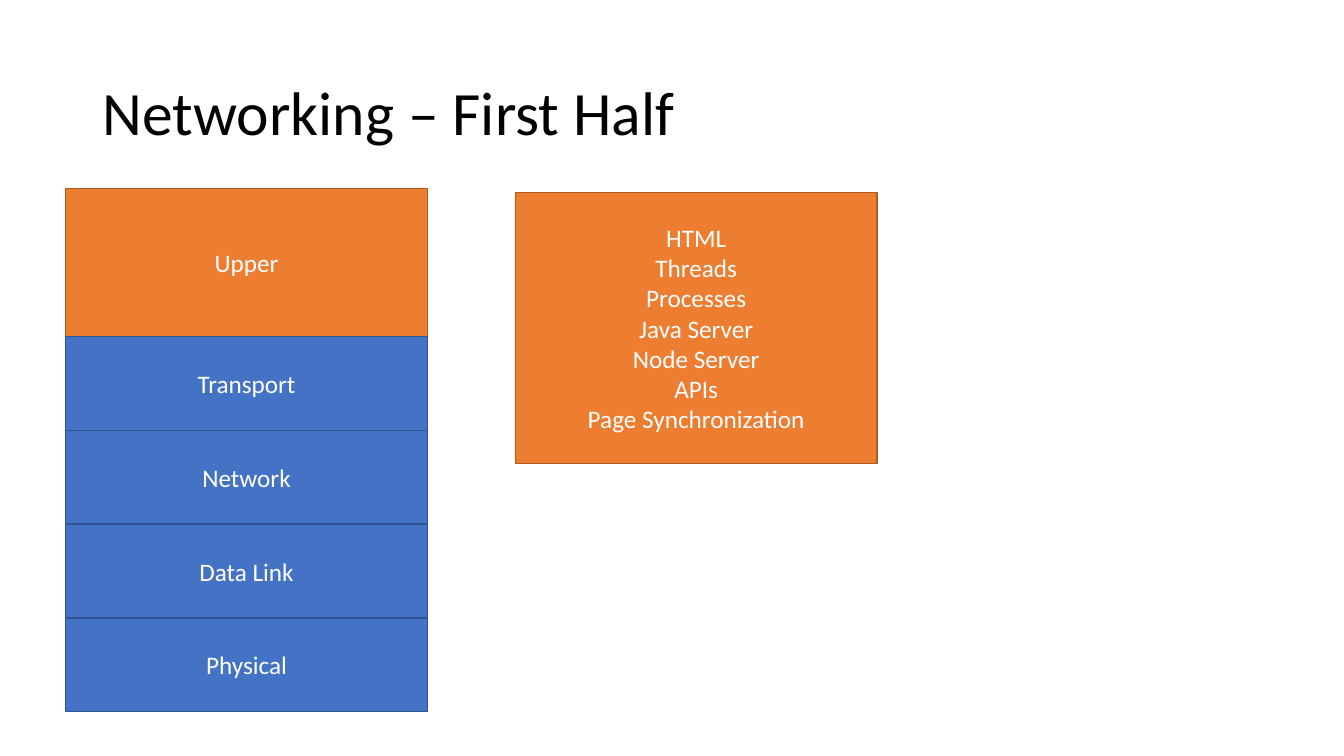
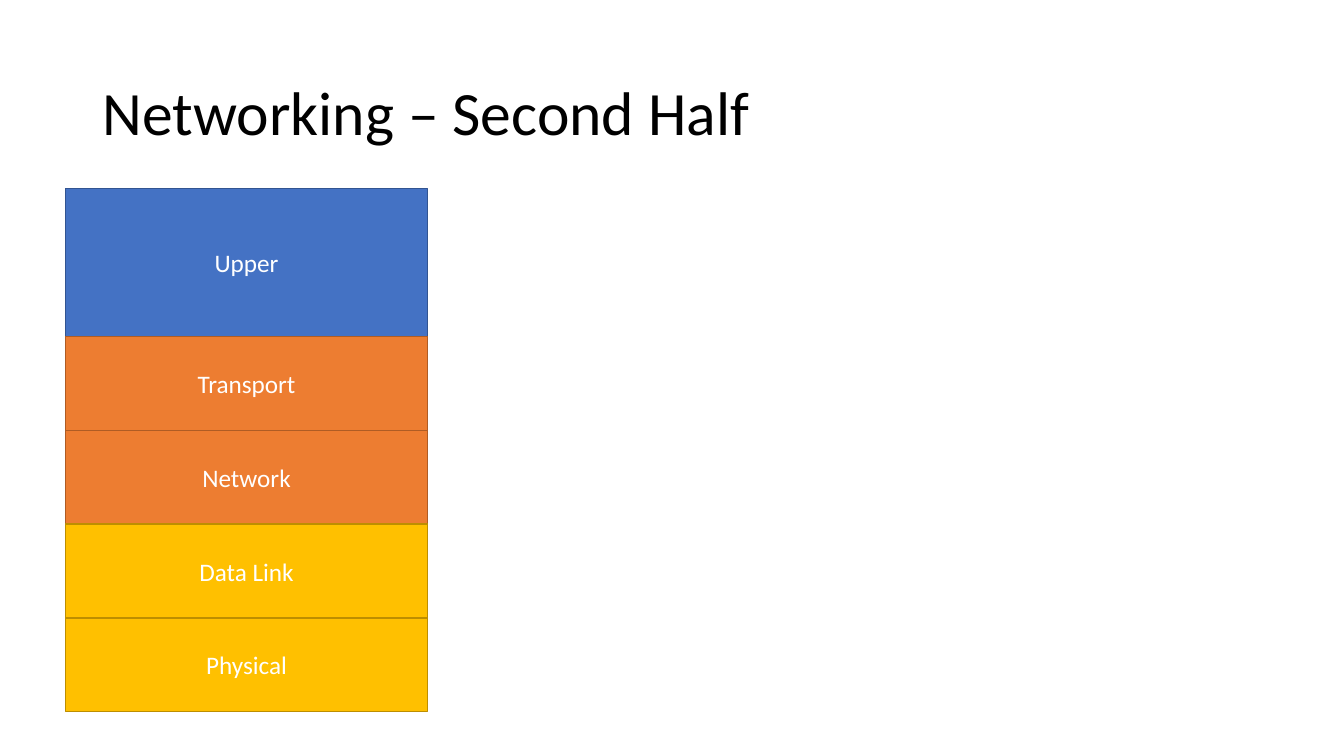
from dataclasses import dataclass

from pptx import Presentation
from pptx.dml.color import RGBColor
from pptx.enum.shapes import MSO_SHAPE
from pptx.enum.text import MSO_ANCHOR, PP_ALIGN
from pptx.util import Inches, Pt


@dataclass(frozen=True)
class BoxStyle:
    fill: str
    line: str


@dataclass(frozen=True)
class Theme:
    font: str = "Calibri"
    title_size: int = 44
    box_size: int = 18
    line_width: int = 1
    title_color: str = "000000"
    box_text: str = "FFFFFF"
    blue: BoxStyle = BoxStyle("4472C4", "325491")
    orange: BoxStyle = BoxStyle("ED7D31", "AF5C24")
    gold: BoxStyle = BoxStyle("FFC000", "BD8E00")


THEME = Theme()

BOX_WIDTH = 3.59
STACK_LEFT, STACK_TOP = 0.65, 1.87
UPPER_HEIGHT, LAYER_HEIGHT = 1.47, 0.93
LAYERS = ["Upper", "Transport", "Network", "Data Link", "Physical"]
TOPICS = ["HTML", "Threads", "Processes", "Java Server", "Node Server",
          "APIs", "Page Synchronization"]


def write_text(shape, lines, size, color, align, line_spacing=1.0):
    tf = shape.text_frame
    tf.word_wrap = True
    tf.vertical_anchor = MSO_ANCHOR.MIDDLE
    tf.text = "\n".join(lines)
    for p in tf.paragraphs:
        p.alignment = align
        p.line_spacing = line_spacing
        p.font.name = THEME.font
        p.font.size = Pt(size)
        p.font.color.rgb = RGBColor.from_string(color)


def add_title(slide, text):
    sp = slide.shapes.add_textbox(Inches(0.92), Inches(0.42), Inches(11.5), Inches(1.45))
    write_text(sp, [text], THEME.title_size, THEME.title_color, PP_ALIGN.LEFT, 0.9)


def add_box(slide, left, top, height, lines, style):
    sp = slide.shapes.add_shape(MSO_SHAPE.RECTANGLE, Inches(left), Inches(top),
                                Inches(BOX_WIDTH), Inches(height))
    sp.shadow.inherit = False
    sp.fill.solid()
    sp.fill.fore_color.rgb = RGBColor.from_string(style.fill)
    sp.line.color.rgb = RGBColor.from_string(style.line)
    sp.line.width = Pt(THEME.line_width)
    write_text(sp, lines, THEME.box_size, THEME.box_text, PP_ALIGN.CENTER)


def add_layer_stack(slide, styles):
    """Stack the network layers downwards, one style per layer."""
    top = STACK_TOP
    for name, style in zip(LAYERS, styles):
        height = UPPER_HEIGHT if name == "Upper" else LAYER_HEIGHT
        add_box(slide, STACK_LEFT, top, height, [name], style)
        top += height


def add_networking_slide(prs, title, styles):
    slide = prs.slides.add_slide(prs.slide_layouts[6])
    add_layer_stack(slide, styles)
    add_title(slide, title)
    return slide


def main():
    prs = Presentation()
    prs.slide_width, prs.slide_height = Inches(13.33), Inches(7.5)
    blue, orange, gold = THEME.blue, THEME.orange, THEME.gold

    first = add_networking_slide(prs, "Networking – First Half", [orange] + [blue] * 4)
    add_box(first, 5.11, 1.91, 2.69, TOPICS, orange)

    add_networking_slide(prs, "Networking – Second Half",
                         [blue] + [orange] * 2 + [gold] * 2)
    prs.save("out.pptx")


if __name__ == "__main__":
    main()
